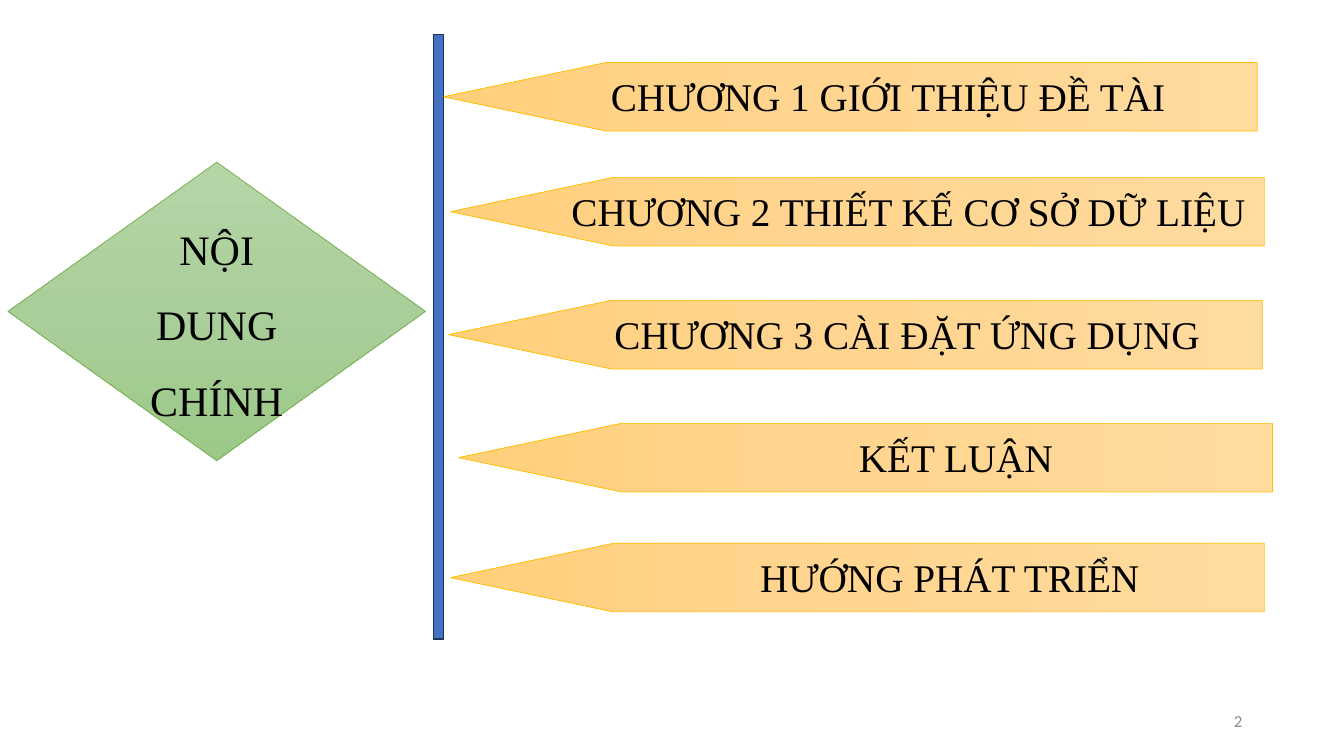
from copy import deepcopy

from pptx import Presentation
from pptx.dml.color import RGBColor
from pptx.enum.shapes import MSO_SHAPE as SHAPE
from pptx.enum.text import MSO_ANCHOR as ANCHOR, MSO_AUTO_SIZE as AUTO, PP_ALIGN as ALIGN
from pptx.oxml.ns import qn
from pptx.util import Inches, Pt

SERIF = "Times New Roman"
GREENS = ("B5D5A7", "AACE9A", "9CC987")
ORANGES = ("FFDB9E", "FFD590", "FFD07C")
TAG_W, TAG_H = 8.07, 0.68

# Tag left, tag top, label left, label width, alignment, label
CHAPTERS = [
    (4.4, 0.62, 5.96, 6.5, ALIGN.LEFT, "CHƯƠNG 1 GIỚI THIỆU ĐỀ TÀI"),
    (4.47, 1.76, 5.36, 7.3, ALIGN.CENTER, "CHƯƠNG 2 THIẾT KẾ CƠ SỞ DỮ LIỆU"),
    (4.45, 2.98, 5.84, 6.31, ALIGN.CENTER, "CHƯƠNG 3 CÀI ĐẶT ỨNG DỤNG"),
    (4.55, 4.2, 6.74, 5.48, ALIGN.CENTER, "KẾT LUẬN"),
    (4.47, 5.39, 7.44, 4.03, ALIGN.LEFT, "HƯỚNG PHÁT TRIỂN"),
]


def color(hex_str):
    return RGBColor.from_string(hex_str)


def add_shape(slide, kind, x, y, w, h, line, line_w):
    sp = slide.shapes.add_shape(kind, Inches(x), Inches(y), Inches(w), Inches(h))
    sp.shadow.inherit = False
    sp.line.color.rgb = color(line)
    sp.line.width = Pt(line_w)
    return sp


def fill_gradient(sp, colors):
    """Fill from top to bottom with three evenly spaced stops."""
    sp.fill.gradient()
    sp.fill.gradient_angle = 270
    stops = sp._element.spPr.find(qn("a:gradFill")).find(qn("a:gsLst"))
    stops.insert(1, deepcopy(stops[0]))
    for i, (stop, hex_str) in enumerate(zip(sp.fill.gradient_stops, colors)):
        stop.position = i / 2
        stop.color.rgb = color(hex_str)


def write(tf, text, size, align, font=SERIF, hex_str="000000"):
    tf.word_wrap = True
    p = tf.paragraphs[0]
    p.text = text
    p.alignment = align
    p.font.size = Pt(size)
    p.font.name = font
    p.font.color.rgb = color(hex_str)
    return p


def add_label(slide, x, y, w, h, *text_args):
    tf = slide.shapes.add_textbox(Inches(x), Inches(y), Inches(w), Inches(h)).text_frame
    write(tf, *text_args)
    return tf


def add_title(slide, x, y, w, h):
    sp = add_shape(slide, SHAPE.FLOWCHART_DECISION, x, y, w, h, "70AD47", 0.5)
    fill_gradient(sp, GREENS)
    sp.text_frame.vertical_anchor = ANCHOR.MIDDLE
    write(sp.text_frame, "NỘI DUNG CHÍNH", 30, ALIGN.CENTER).line_spacing = 1.5


def add_divider(slide, x, y, w, h):
    sp = add_shape(slide, SHAPE.RECTANGLE, x, y, w, h, "1E3256", 1)
    sp.fill.solid()
    sp.fill.fore_color.rgb = color("4472C4")


def add_chapter(slide, x, y, label_x, label_w, align, text):
    # The upright shape turns about its centre to point left
    shift = (TAG_W - TAG_H) / 2
    sp = add_shape(slide, SHAPE.FLOWCHART_OFFPAGE_CONNECTOR,
                   x + shift, y - shift, TAG_H, TAG_W, "FFC000", 0.5)
    sp.rotation = 90
    fill_gradient(sp, ORANGES)
    tf = add_label(slide, label_x, y + 0.05, label_w, 0.57, text, 28, align)
    tf.auto_size = AUTO.SHAPE_TO_FIT_TEXT


def add_page_number(slide, x, y, w, h):
    tf = add_label(slide, x, y, w, h, "2", 12, ALIGN.RIGHT, "Calibri", "8C8C8C")
    tf.vertical_anchor = ANCHOR.MIDDLE


def main():
    prs = Presentation()
    prs.slide_width, prs.slide_height = Inches(13.33), Inches(7.5)
    slide = prs.slides.add_slide(prs.slide_layouts[6])
    add_divider(slide, 4.3, 0.34, 0.1, 6)
    add_title(slide, 0.08, 1.61, 4.14, 2.96)
    for chapter in CHAPTERS:
        add_chapter(slide, *chapter)
    add_page_number(slide, 9.42, 6.95, 3, 0.4)
    prs.save("out.pptx")


if __name__ == "__main__":
    main()
